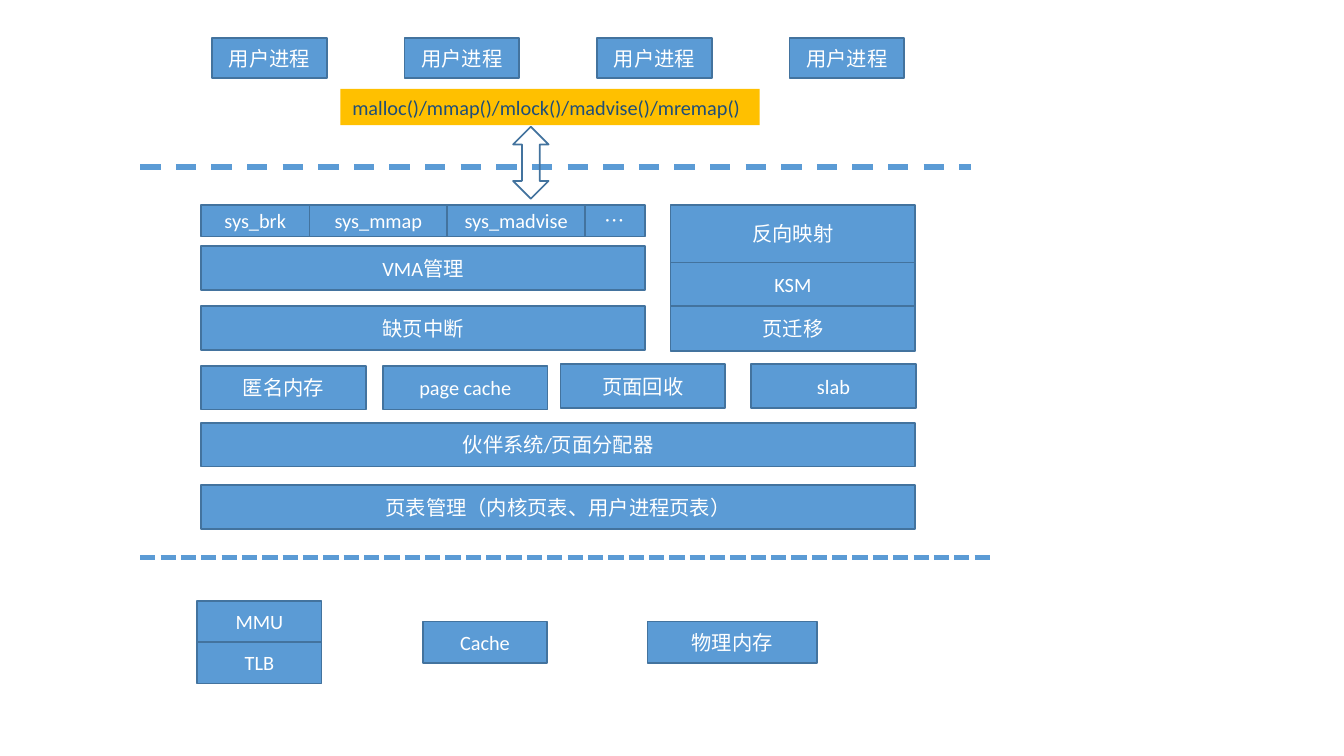
import lxml.etree
import pptx
import pptx.dml.color
import pptx.enum.dml
import pptx.enum.shapes
import pptx.enum.text
import pptx.oxml.ns
import pptx.util
from pptx.util import Cm

BLUE, EDGE, WHITE, AMBER, NAVY = "5B9BD5", "43739E", "FFFFFF", "FFC000", "1F4E79"
LATIN, CJK = "Calibri", "Noto Sans CJK SC"
LEFT, FULL_WIDTH, HALF_WIDTH, LAYER_HEIGHT = 4.19, 14.88, 9.25, 0.91


def color(value):
    """Turn a hex string into a colour."""
    return pptx.dml.color.RGBColor.from_string(value)


def write(frame, text, ink, latin=LATIN):
    """Write one paragraph with Latin and East Asian fonts."""
    paragraph = frame.paragraphs[0]
    paragraph.text = text
    font = paragraph.font
    font.size = pptx.util.Pt(12)
    font.name = latin
    font.color.rgb = color(ink)
    defaults = paragraph._p.pPr.find(pptx.oxml.ns.qn("a:defRPr"))
    lxml.etree.SubElement(defaults, pptx.oxml.ns.qn("a:ea"), typeface=CJK)


def outlined(slide, kind, left, top, width, height):
    """Add a preset shape with the common thin outline."""
    shape = slide.shapes.add_shape(kind, Cm(left), Cm(top), Cm(width), Cm(height))
    shape.shadow.inherit = False
    shape.line.color.rgb = color(EDGE)
    shape.line.width = pptx.util.Pt(1)
    return shape


def block(slide, text, left, top, width, height=LAYER_HEIGHT, latin=LATIN):
    """Add a blue component block with a centred label."""
    component = outlined(slide, pptx.enum.shapes.MSO_SHAPE.RECTANGLE, left, top, width, height)
    component.fill.solid()
    component.fill.fore_color.rgb = color(BLUE)
    component.text_frame.word_wrap = True
    write(component.text_frame, text, WHITE, latin)


def boundary(slide, top, right, dash):
    """Add a dashed boundary between two levels of the system."""
    border = slide.shapes.add_connector(
        pptx.enum.shapes.MSO_CONNECTOR.STRAIGHT, Cm(2.92), Cm(top), Cm(right), Cm(top))
    border.line.color.rgb = color(BLUE)
    border.line.width = pptx.util.Pt(3)
    border.line.dash_style = dash
    lxml.etree.SubElement(border._element.spPr, pptx.oxml.ns.qn("a:effectLst"))


def user_space(slide):
    """Draw the processes and the library calls they use."""
    for index in range(4):
        block(slide, "用户进程", 4.42 + 4.01 * index, 0.79, 2.39, 0.84)
    calls = slide.shapes.add_textbox(Cm(7.09), Cm(1.85), Cm(8.74), Cm(0.76))
    calls.fill.solid()
    calls.fill.fore_color.rgb = color(AMBER)
    calls.text_frame.word_wrap = True
    calls.text_frame.auto_size = pptx.enum.text.MSO_AUTO_SIZE.SHAPE_TO_FIT_TEXT
    write(calls.text_frame, "malloc()/mmap()/mlock()/madvise()/mremap()", NAVY)


def kernel_space(slide):
    """Draw the system calls and memory management layers."""
    left = LEFT
    for name, width, latin in (("sys_brk", 2.26, LATIN), ("sys_mmap", 2.87, LATIN),
                               ("sys_madvise", 2.87, LATIN), ("…", 1.25, CJK)):
        block(slide, name, left, 4.27, width, 0.66, latin)
        left += width
    for name, top, width in (("VMA管理", 5.13, HALF_WIDTH), ("缺页中断", 6.38, HALF_WIDTH),
                             ("伙伴系统/页面分配器", 8.81, FULL_WIDTH),
                             ("页表管理（内核页表、用户进程页表）", 10.11, FULL_WIDTH)):
        block(slide, name, LEFT, top, width)
    for name, left, top in (("匿名内存", LEFT, 7.62), ("page cache", 7.98, 7.62),
                            ("页面回收", 11.68, 7.59), ("slab", 15.65, 7.59)):
        block(slide, name, left, top, 3.43)
    top = 4.27
    for name, height in (("反向映射", 1.2), ("KSM", 0.91), ("页迁移", 0.94)):
        block(slide, name, 13.97, top, 5.1, height)
        top += height


def hardware(slide):
    """Draw the hardware units."""
    for name, left, top, width in (("MMU", 4.11, 12.52, 2.59), ("TLB", 4.11, 13.38, 2.59),
                                   ("Cache", 8.81, 12.95, 2.59), ("物理内存", 13.49, 12.95, 3.53)):
        block(slide, name, left, top, width, 0.86)


def main():
    """Build the memory management overview."""
    deck = pptx.Presentation()
    deck.slide_width, deck.slide_height = Cm(28), Cm(15.75)
    slide = deck.slides.add_slide(deck.slide_layouts[6])
    dashes = pptx.enum.dml.MSO_LINE_DASH_STYLE
    boundary(slide, 3.48, 20.24, dashes.DASH)
    boundary(slide, 11.61, 20.7, dashes.SQUARE_DOT)
    user_space(slide)
    kernel_space(slide)
    hardware(slide)
    exchange = outlined(slide, pptx.enum.shapes.MSO_SHAPE.UP_DOWN_ARROW, 10.69, 2.64, 0.74, 1.5)
    exchange.fill.background()
    deck.save("out.pptx")


if __name__ == "__main__":
    main()
